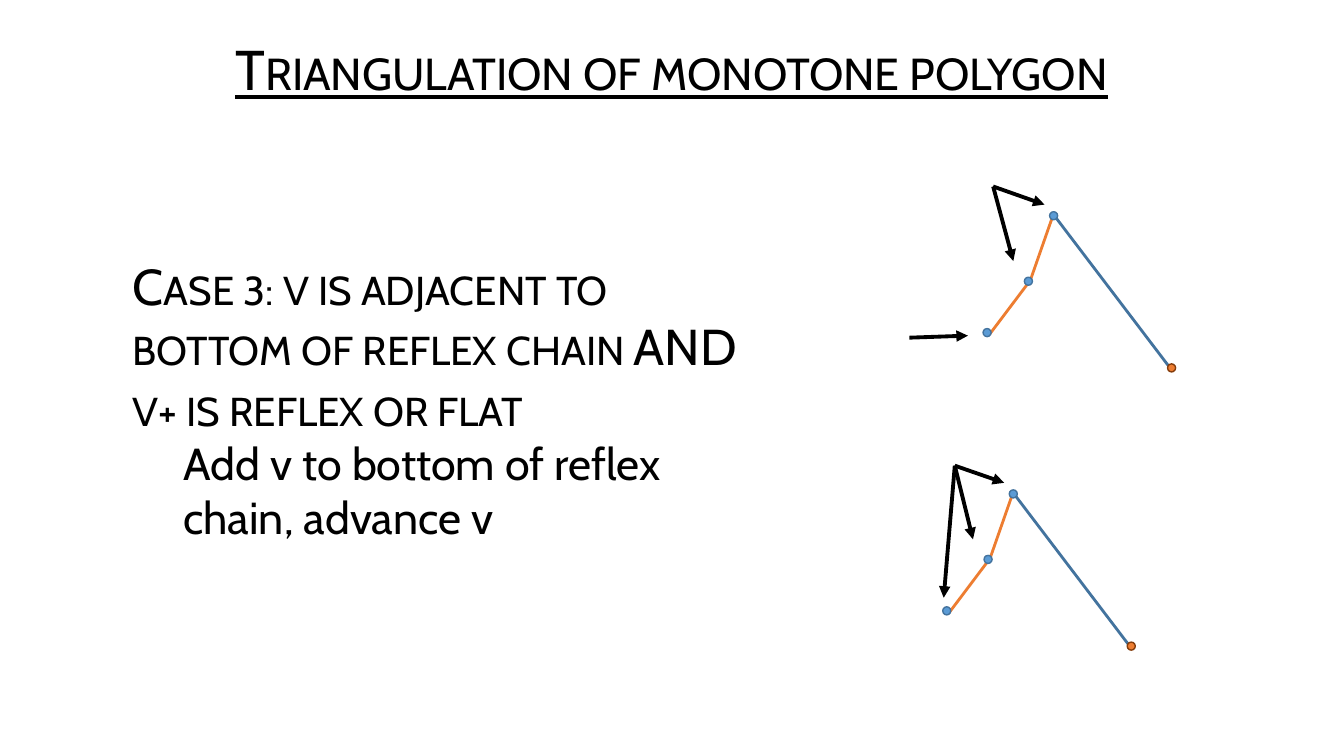
from pptx import Presentation, util as u
from pptx.dml.color import RGBColor
from pptx.enum import shapes, text
from pptx.oxml.ns import qn
from lxml import etree

BLACK = RGBColor(0x00, 0x00, 0x00)
BLUE = RGBColor(0x5B, 0x9B, 0xD5)
DARK_BLUE = RGBColor(0x43, 0x73, 0x9E)
ORANGE = RGBColor(0xED, 0x7D, 0x31)
BROWN = RGBColor(0x84, 0x3C, 0x0B)
FONT = "Cabin"

TITLE = "Triangulation of monotone polygon"
CASE = "Case 3: v is adjacent to bottom of reflex chain AND v+ is reflex or flat"
ACTION = "Add v to bottom of reflex chain, advance v"

COLS, ROWS = 1333, 750
TITLE_BOX = (174, 29, 984, 85)
BODY_BOX = (72, 132, 690, 528)
DOT = 8
REFLEX_CHAIN = [(63, 0), (40, 66), (0, 119)]
OTHER_CHAIN = [(63, 1), (180, 155)]
REFLEX_DOTS = [(38, 67), (-3, 118)]
TOP_DOT, END_DOT = (63, 2), (180, 153)
FIGURES = [
    {"origin": (982, 212), "arrows": [((985, 185), (1036, 203)),
                                      ((985, 185), (1005, 259)),
                                      ((902, 335), (960, 333))]},
    {"origin": (942, 488), "arrows": [((947, 462), (996, 479)),
                                      ((947, 462), (965, 535)),
                                      ((947, 462), (936, 593))]},
]

prs = Presentation()
prs.slide_width, prs.slide_height = u.Inches(13.33), u.Inches(7.5)
s = prs.slides.add_slide(prs.slide_layouts[5])


def col(n):
    return round(n * prs.slide_width / COLS)


def row(n):
    return round(n * prs.slide_height / ROWS)


def place(sp, box):
    sp.left, sp.top, sp.width, sp.height = col(box[0]), row(box[1]), col(box[2]), row(box[3])


def write(p, words, size, small_caps=False, underline=False, indent=0,
          align=text.PP_ALIGN.LEFT, spacing=1.0):
    pPr = p._p.get_or_add_pPr()
    pPr.set("marL", str(u.Inches(indent)))
    pPr.set("indent", "0")
    etree.SubElement(pPr, qn("a:buNone"))
    p.alignment, p.line_spacing = align, spacing
    p.space_before = p.space_after = u.Pt(0)
    r = p.add_run()
    r.text = words
    f = r.font
    f.name, f.size, f.underline, f.bold = FONT, u.Pt(size), underline, False
    f.color.rgb = BLACK
    if small_caps:
        r._r.get_or_add_rPr().set("cap", "small")


def frame(sp):
    tf = sp.text_frame
    tf.word_wrap = True
    tf.auto_size = text.MSO_AUTO_SIZE.NONE
    tf.vertical_anchor = text.MSO_ANCHOR.MIDDLE
    return tf


def chain(origin, points, color):
    pts = [(col(origin[0] + x), row(origin[1] + y)) for x, y in points]
    fb = s.shapes.build_freeform(*pts[0])
    fb.add_line_segments(pts[1:], close=False)
    sp = fb.convert_to_shape()
    sp.shadow.inherit = False
    sp.fill.background()
    sp.line.color.rgb, sp.line.width = color, u.Pt(2)


def dot(origin, center, fill=BLUE, line=DARK_BLUE):
    x, y = origin[0] + center[0], origin[1] + center[1]
    sp = s.shapes.add_shape(shapes.MSO_SHAPE.OVAL, col(x - DOT / 2), row(y - DOT / 2),
                            col(DOT), row(DOT))
    sp.shadow.inherit = False
    sp.fill.solid()
    sp.fill.fore_color.rgb = fill
    sp.line.color.rgb, sp.line.width = line, u.Pt(1)


def arrow(start, end):
    cx = s.shapes.add_connector(shapes.MSO_CONNECTOR.STRAIGHT, col(start[0]), row(start[1]),
                                col(end[0]), row(end[1]))
    cx.line.color.rgb, cx.line.width = BLACK, u.Pt(2.75)
    etree.SubElement(cx.line._get_or_add_ln(), qn("a:tailEnd")).set("type", "triangle")
    etree.SubElement(cx._element.spPr, qn("a:effectLst"))


title = s.shapes.title
place(title, TITLE_BOX)
write(frame(title).paragraphs[0], TITLE, 40, small_caps=True, underline=True,
      align=text.PP_ALIGN.CENTER, spacing=0.9)

body = s.shapes.add_textbox(0, 0, 0, 0)
place(body, BODY_BOX)
tf = frame(body)
write(tf.paragraphs[0], CASE, 36, small_caps=True, indent=0.5)
write(tf.add_paragraph(), ACTION, 32, indent=1)

for figure in FIGURES:
    origin = figure["origin"]
    chain(origin, REFLEX_CHAIN, ORANGE)
    for center in REFLEX_DOTS:
        dot(origin, center)
    chain(origin, OTHER_CHAIN, DARK_BLUE)
    dot(origin, TOP_DOT)
    dot(origin, END_DOT, ORANGE, BROWN)
    for start, end in figure["arrows"]:
        arrow(start, end)

prs.save("out.pptx")
